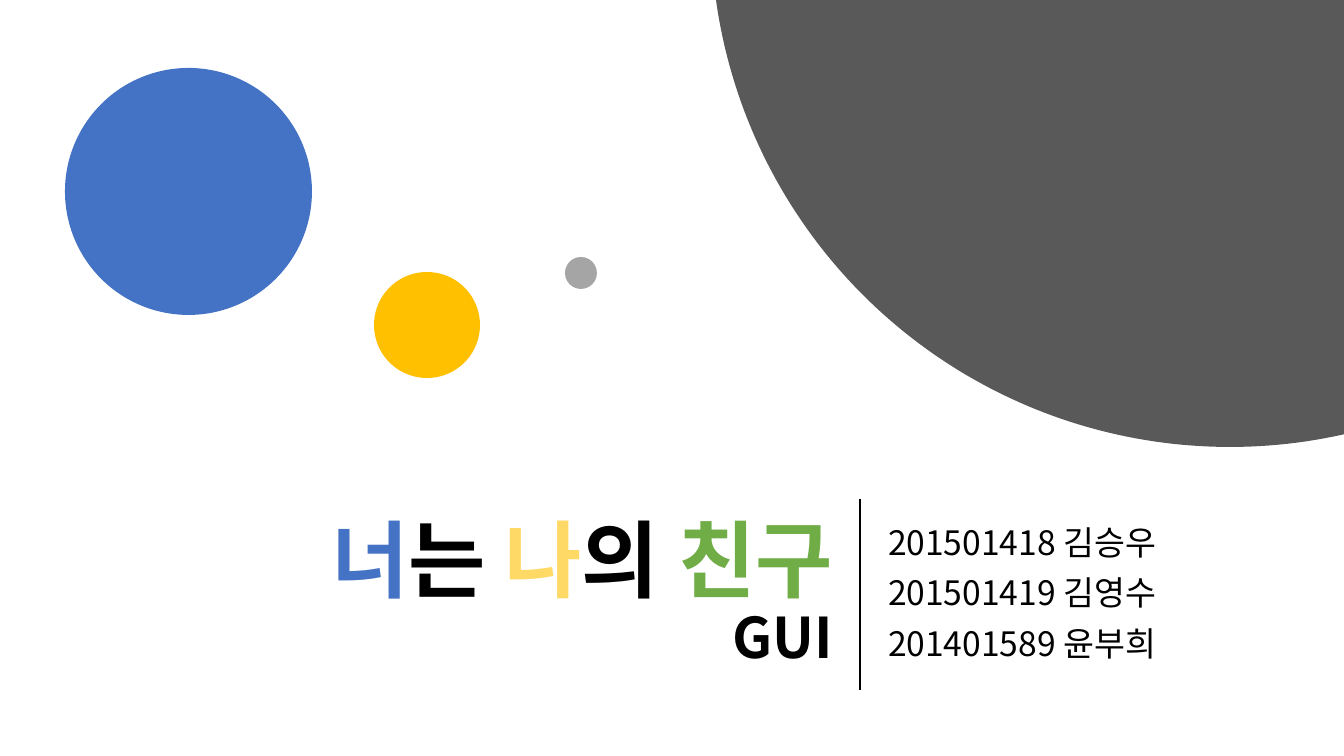
from math import acos, asin, cos, pi, sin

from lxml import etree
from pptx import Presentation
from pptx.dml.color import RGBColor
from pptx.enum.shapes import MSO_CONNECTOR, MSO_SHAPE
from pptx.enum.text import MSO_ANCHOR, MSO_AUTO_SIZE, PP_ALIGN
from pptx.oxml.ns import qn
from pptx.util import Pt

PX = 914400 / 100.8
WIDTH, HEIGHT = 1344, 756
FONT = "Noto Sans CJK KR"

BLACK = RGBColor(0x00, 0x00, 0x00)
BLUE = RGBColor(0x44, 0x72, 0xC4)
GOLD = RGBColor(0xFF, 0xC0, 0x00)
PALE_GOLD = RGBColor(0xFF, 0xD9, 0x66)
GREEN = RGBColor(0x70, 0xAD, 0x47)
GRAY = RGBColor(0xA5, 0xA5, 0xA5)
DARK_GRAY = RGBColor(0x59, 0x59, 0x59)

OVAL = MSO_SHAPE.OVAL
STRAIGHT = MSO_CONNECTOR.STRAIGHT
MIDDLE = MSO_ANCHOR.MIDDLE
NO_AUTOFIT = MSO_AUTO_SIZE.NONE
LEFT, RIGHT = PP_ALIGN.LEFT, PP_ALIGN.RIGHT


def emu(px):
    return round(px * PX)


def add_run(p, text, size=24, color=BLACK, bold=False):
    r = p.add_run()
    r.text = text
    r.font.name = FONT
    r.font.size = Pt(size)
    r.font.bold = bold
    r.font.color.rgb = color
    ea = etree.SubElement(r.font._element, qn("a:ea"))
    ea.set("typeface", FONT)


class Cover:
    def __init__(self, prs):
        self.slide = prs.slides.add_slide(prs.slide_layouts[0])
        self.shapes = self.slide.shapes

    def place(self, sp, x, y, w, h):
        """Move a placeholder and return its text frame."""
        sp.left, sp.top, sp.width, sp.height = map(emu, (x, y, w, h))
        tf = sp.text_frame
        tf.word_wrap = True
        tf.auto_size = NO_AUTOFIT
        tf.vertical_anchor = MIDDLE
        return tf

    def paragraph(self, p, align, before=0):
        p.alignment = align
        p.line_spacing = 0.9
        p.space_before = Pt(before)
        return p

    def title(self, box, words, subtitle):
        tf = self.place(self.shapes.title, *box)
        p = self.paragraph(tf.paragraphs[0], RIGHT)
        for text, color in words:
            add_run(p, text, size=60, color=color, bold=True)
        p.add_line_break()
        add_run(p, subtitle, size=40, bold=True)

    def members(self, box, names):
        tf = self.place(self.slide.placeholders[1], *box)
        for i, name in enumerate(names):
            p = tf.add_paragraph() if i else tf.paragraphs[0]
            add_run(self.paragraph(p, LEFT, before=10), name)

    def paint(self, sp, color):
        sp.shadow.inherit = False
        sp.fill.solid()
        sp.fill.fore_color.rgb = color
        sp.line.fill.background()

    def circle(self, x, y, size, color):
        sp = self.shapes.add_shape(OVAL, *map(emu, (x, y, size, size)))
        self.paint(sp, color)

    def corner_circle(self, cx, cy, radius, color, steps=90):
        """Draw the part of a circle that lies inside the top right corner."""
        start = acos((WIDTH - cx) / radius)
        end = pi - asin(-cy / radius)
        angles = [start + (end - start) * i / steps for i in range(steps + 1)]
        arc = [(emu(cx + radius * cos(a)), emu(cy + radius * sin(a))) for a in angles]
        builder = self.shapes.build_freeform(emu(WIDTH), 0)
        builder.add_line_segments(arc, close=True)
        self.paint(builder.convert_to_shape(), color)

    def divider(self, x, top, bottom):
        line = self.shapes.add_connector(STRAIGHT, *map(emu, (x, top, x, bottom)))
        line.line.color.rgb = BLACK
        line.line.width = Pt(1.5)
        etree.SubElement(line._element.spPr, qn("a:effectLst"))


def main():
    prs = Presentation()
    prs.slide_width, prs.slide_height = emu(WIDTH), emu(HEIGHT)
    cover = Cover(prs)

    cover.title(
        (93, 499, 750, 192),
        [("너", BLUE), ("는 ", BLACK), ("나", PALE_GOLD), ("의 ", BLACK), ("친구", GREEN)],
        "GUI",
    )
    cover.members(
        (878, 499, 359, 192),
        ["201501418 김승우", "201501419 김영수", "201401589 윤부희"],
    )
    cover.circle(65, 68, 247, BLUE)
    cover.circle(374, 272, 106, GOLD)
    cover.circle(565, 257, 32, GRAY)
    cover.corner_circle(1230, -72, 519, DARK_GRAY)
    cover.divider(860, 499, 690)

    prs.save("out.pptx")


if __name__ == "__main__":
    main()
